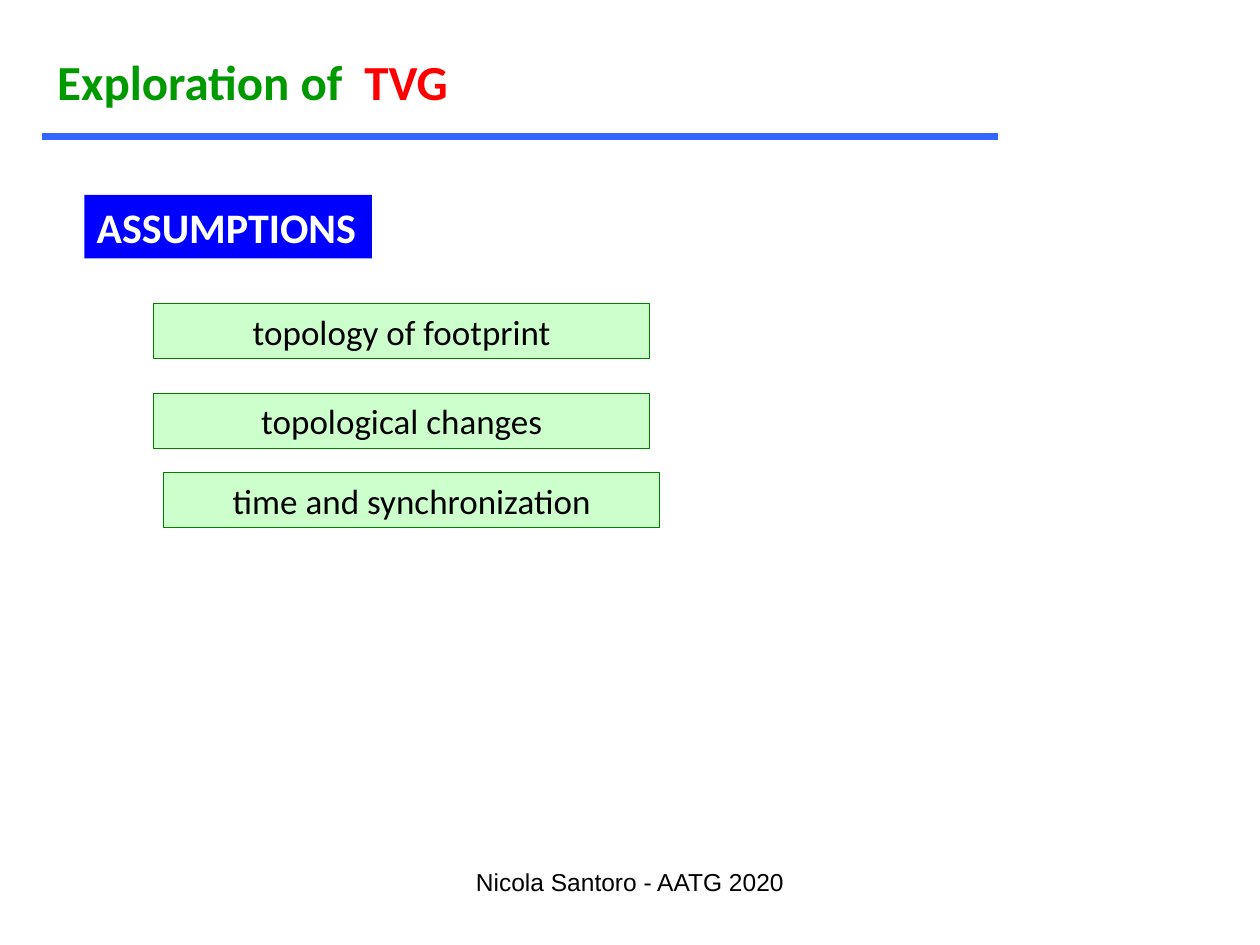
from dataclasses import dataclass

from lxml import etree
from pptx import Presentation
from pptx.dml.color import RGBColor
from pptx.enum.shapes import MSO_CONNECTOR, MSO_SHAPE
from pptx.enum.text import MSO_ANCHOR, PP_ALIGN
from pptx.oxml.ns import qn
from pptx.util import Cm, Pt

LEFT, CENTER = PP_ALIGN.LEFT, PP_ALIGN.CENTER
TOP, MIDDLE = MSO_ANCHOR.TOP, MSO_ANCHOR.MIDDLE
RECT, STRAIGHT = MSO_SHAPE.RECTANGLE, MSO_CONNECTOR.STRAIGHT


@dataclass
class Box:
    """A filled rectangle with one line of text; lengths in cm."""
    text: str
    left: float
    top: float
    width: float
    height: float
    fill: str
    line: str | None
    font: dict
    align: PP_ALIGN = CENTER
    wrap: bool = True


def rgb(value: str) -> RGBColor:
    return RGBColor.from_string(value)


def text_format(size: float, color: str, name: str = "Calibri", bold: bool = False) -> dict:
    return {"size": Pt(size), "color": color, "name": name, "bold": bold}


def place(sp, left: float, top: float, width: float, height: float) -> None:
    sp.left, sp.top, sp.width, sp.height = map(Cm, (left, top, width, height))


def write(sp, runs: list, align: PP_ALIGN, anchor: MSO_ANCHOR, wrap: bool = True) -> None:
    """Fill a shape with one paragraph of (text, format) runs."""
    tf = sp.text_frame
    tf.word_wrap, tf.vertical_anchor = wrap, anchor
    p = tf.paragraphs[0]
    p.alignment = align
    for text, font in runs:
        r = p.add_run()
        r.text = text
        for key, value in font.items():
            if key == "color":
                r.font.color.rgb = rgb(value)
            else:
                setattr(r.font, key, value)


def draw_box(s, box: Box) -> None:
    sp = s.shapes.add_shape(RECT, *map(Cm, (box.left, box.top, box.width, box.height)))
    sp.shadow.inherit = False
    sp.fill.solid()
    sp.fill.fore_color.rgb = rgb(box.fill)
    if box.line:
        sp.line.color.rgb = rgb(box.line)
        sp.line.width = Pt(0.75)
    else:
        sp.line.fill.background()
    write(sp, [(box.text, box.font)], box.align, MIDDLE, box.wrap)


def draw_rule(s, left: float, right: float, y: float, color: str, width: float) -> None:
    line = s.shapes.add_connector(STRAIGHT, Cm(left), Cm(y), Cm(right), Cm(y))
    line.line.color.rgb = rgb(color)
    line.line.width = Pt(width)
    etree.SubElement(line._element.spPr, qn("a:effectLst"))


def assumption(text: str, left: float, top: float) -> Box:
    return Box(text, left, top, 10, 1.11, "CCFFCC", "008000", text_format(20, "000000"))


BOXES = [
    Box("ASSUMPTIONS", 1.7, 3.93, 5.8, 1.28, "0000FF", None,
        text_format(24, "FFFFFF", bold=True), LEFT, False),
    assumption("topology of footprint", 3.1, 6.12),
    assumption("topological changes", 3.1, 7.93),
    assumption("time and synchronization", 3.3, 9.53),
]


def main() -> None:
    prs = Presentation()
    prs.slide_width, prs.slide_height = Cm(25.4), Cm(19.05)
    s = prs.slides.add_slide(prs.slide_layouts[5])

    title = s.shapes.title
    place(title, 0.9, 0.91, 9, 1.45)
    write(title, [("Exploration of  ", text_format(28, "009900", bold=True)),
                  ("TVG", text_format(28, "FF0000", bold=True))], LEFT, TOP)
    draw_rule(s, 0.85, 20.11, 2.75, "3366FF", 4)

    for box in BOXES:
        draw_box(s, box)

    footer = s.shapes.add_textbox(Cm(8.68), Cm(17.35), Cm(8.04), Cm(1.27))
    write(footer, [("Nicola Santoro - AATG 2020", text_format(14, "000000", "Arial"))], CENTER, TOP)
    prs.save("out.pptx")


if __name__ == "__main__":
    main()
